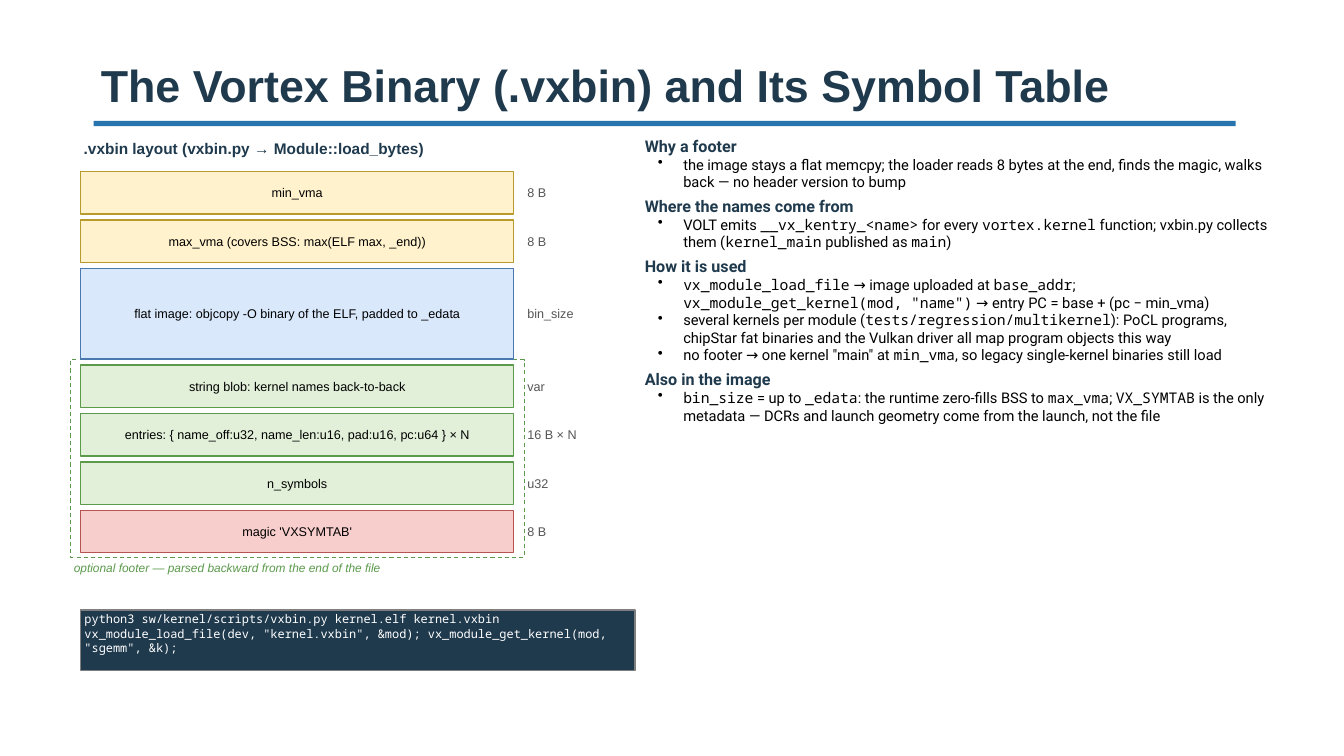
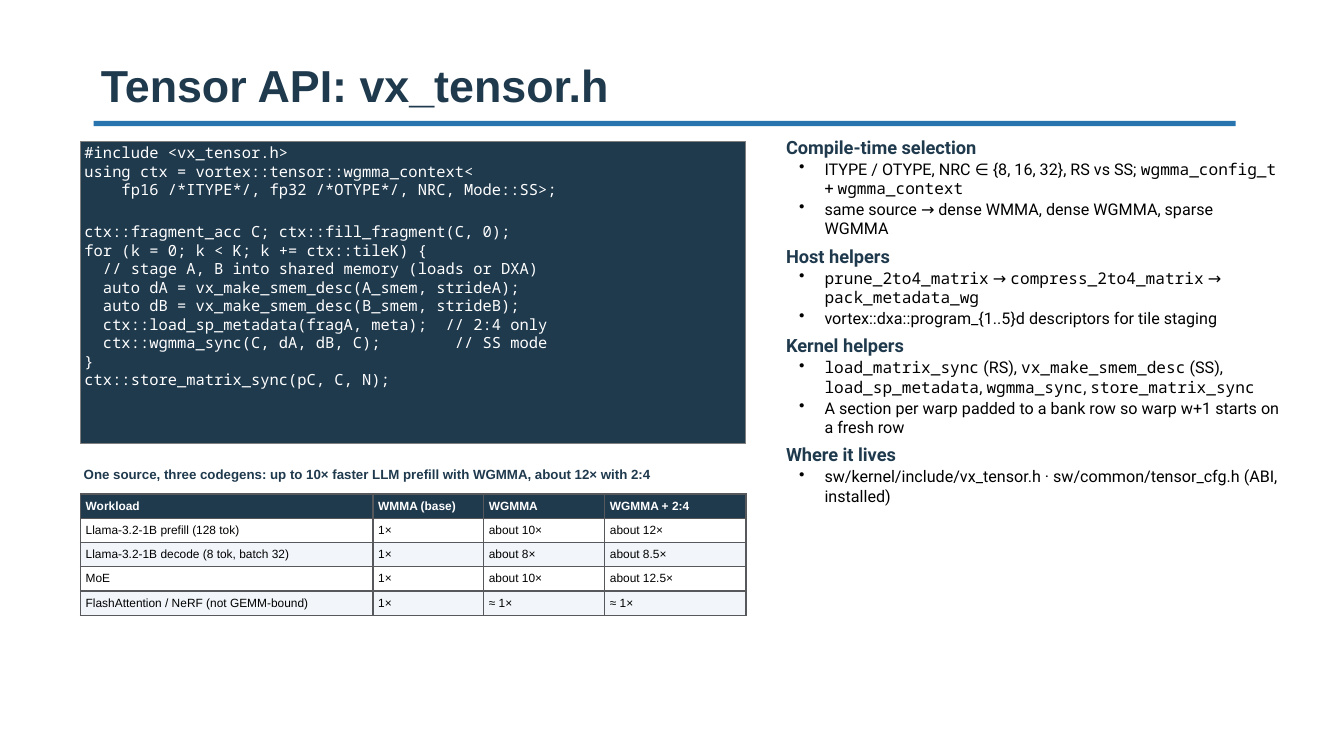
import pptx
import pptx.dml.color
import pptx.enum.dml
import pptx.enum.shapes
import pptx.enum.text
import pptx.oxml
import pptx.oxml.ns
import pptx.util

Cm = pptx.util.Cm
Pt = pptx.util.Pt
ANCHOR = pptx.enum.text.MSO_ANCHOR
ALIGN = pptx.enum.text.PP_ALIGN

NAVY = "1F394D"
BLUE = "2774AE"
GREEN = "5B9A4B"
GRAY = "555555"
BLACK = "000000"
WHITE = "FFFFFF"
BAND = "F2F6FA"
CODE_EDGE = "7F7F7F"
TABLE_EDGE = "57585B"
YELLOW_BLOCK = ("FFF2CC", "B89B2A")
BLUE_BLOCK = ("DAE8FC", "4A78B0")
GREEN_BLOCK = ("E2F0D9", GREEN)
RED_BLOCK = ("F8CECC", "B85450")

SANS = "Arial"
BODY = "Roboto"
MONO = "Noto Sans Mono"
LEFT = 2.03


def color(value):
    return pptx.dml.color.RGBColor.from_string(value)


def element(xml):
    namespace = pptx.oxml.ns.nsdecls("a")
    return pptx.oxml.parse_xml(xml.replace("/>", f" {namespace}/>", 1) if xml.endswith("/>") and xml.count("<") == 1
                               else xml.replace(">", f" {namespace}>", 1))


class Deck:
    def __init__(self):
        self.presentation = pptx.Presentation()
        self.presentation.slide_width = Cm(33.87)
        self.presentation.slide_height = Cm(19.05)
        self.slide = None

    def frame(self, shape, anchor, horizontal, vertical):
        frame = shape.text_frame
        frame.word_wrap = True
        frame.vertical_anchor = anchor
        frame.margin_left = frame.margin_right = Cm(horizontal)
        frame.margin_top = frame.margin_bottom = Cm(vertical)
        return frame

    def run(self, paragraph, text, size, font=SANS, ink=BLACK, bold=False, italic=False):
        run = paragraph.add_run()
        run.text = text
        run.font.size = Pt(size)
        run.font.name = font
        run.font.bold = bold
        run.font.italic = italic
        run.font.color.rgb = color(ink)

    def new_slide(self, title):
        self.slide = self.presentation.slides.add_slide(self.presentation.slide_layouts[5])
        self.rectangle(2.36, 3.05, 28.78, 0.13, BLUE)
        shape = self.slide.shapes.title
        shape.left, shape.top, shape.width, shape.height = Cm(2.29), Cm(0.64), Cm(28.19), Cm(2.29)
        paragraph = self.frame(shape, ANCHOR.BOTTOM, 0.25, 0.13).paragraphs[0]
        paragraph.alignment = ALIGN.LEFT
        self.run(paragraph, title, 32, ink=NAVY, bold=True)

    def rectangle(self, left, top, width, height, fill=None, line=None, weight=1, dashed=False):
        shape = self.slide.shapes.add_shape(
            pptx.enum.shapes.MSO_SHAPE.RECTANGLE, Cm(left), Cm(top), Cm(width), Cm(height))
        shape.shadow.inherit = False
        if fill:
            shape.fill.solid()
            shape.fill.fore_color.rgb = color(fill)
        else:
            shape.fill.background()
        if line:
            shape.line.color.rgb = color(line)
            shape.line.width = Pt(weight)
        else:
            shape.line.fill.background()
        if dashed:
            shape.line.dash_style = pptx.enum.dml.MSO_LINE.DASH
        return shape

    def block(self, left, top, width, height, text, colors):
        shape = self.rectangle(left, top, width, height, *colors)
        paragraph = self.frame(shape, ANCHOR.MIDDLE, 0.1, 0.05).paragraphs[0]
        paragraph.alignment = ALIGN.CENTER
        self.run(paragraph, text, 9)

    def label(self, left, top, width, height, text, size, anchor=ANCHOR.TOP, **style):
        shape = self.slide.shapes.add_textbox(Cm(left), Cm(top), Cm(width), Cm(height))
        self.run(self.frame(shape, anchor, 0.08, 0.08).paragraphs[0], text, size, **style)

    def code(self, left, top, width, height, text, size):
        shape = self.rectangle(left, top, width, height, NAVY, CODE_EDGE)
        frame = self.frame(shape, ANCHOR.TOP, 0.1, 0.05)
        paragraph = frame.paragraphs[0]
        for group_index, group in enumerate(text.split("\n\n")):
            for line_index, line in enumerate(group.split("\n")):
                if group_index or line_index:
                    paragraph = frame.add_paragraph()
                if group_index and not line_index:
                    paragraph.space_before = Pt(17)
                paragraph.alignment = ALIGN.LEFT
                self.run(paragraph, line, size, MONO, WHITE)

    def outline(self, left, width, sections, heading_size, bullet_size, heading_gap, bullet_gap):
        shape = self.slide.shapes.add_textbox(Cm(left), Cm(3.3), Cm(width), Cm(13.72))
        frame = self.frame(shape, ANCHOR.TOP, 0.25, 0.13)
        for index, (heading, bullets) in enumerate(sections):
            paragraph = frame.add_paragraph() if index else frame.paragraphs[0]
            paragraph.space_before = Pt(heading_gap if index else 0)
            self.run(paragraph, heading, heading_size, BODY, NAVY, True)
            for bullet in bullets:
                paragraph = frame.add_paragraph()
                paragraph.level = 1
                paragraph.space_before = Pt(bullet_gap)
                properties = paragraph._p.get_or_add_pPr()
                properties.set("marL", str(Cm(0.97)))
                properties.set("indent", str(-Cm(0.64)))
                properties.append(element('<a:buChar char="•"/>'))
                for part, text in enumerate(bullet.split("`")):
                    if text:
                        self.run(paragraph, text, bullet_size, MONO if part % 2 else BODY)

    def table(self, left, top, widths, row_height, rows):
        shape = self.slide.shapes.add_table(
            len(rows), len(widths), Cm(left), Cm(top), Cm(sum(widths)), Cm(row_height * len(rows)))
        table = shape.table
        table.first_row = table.horz_banding = False
        for column, width in zip(table.columns, widths):
            column.width = Cm(width)
        for row_index, values in enumerate(rows):
            table.rows[row_index].height = Cm(row_height)
            header = row_index == 0
            fill = NAVY if header else (WHITE if row_index % 2 else BAND)
            for column_index, text in enumerate(values):
                self.cell(table.cell(row_index, column_index), text, fill, header)

    def cell(self, cell, text, fill, header):
        cell.fill.solid()
        cell.fill.fore_color.rgb = color(fill)
        cell.vertical_anchor = ANCHOR.MIDDLE
        cell.margin_left = cell.margin_right = Cm(0.13)
        cell.margin_top = cell.margin_bottom = Cm(0.05)
        self.run(cell.text_frame.paragraphs[0], text, 8.5, ink=WHITE if header else BLACK, bold=header)
        properties = cell._tc.get_or_add_tcPr()
        for position, side in enumerate(("lnL", "lnR", "lnT", "lnB")):
            properties.insert(position, element(
                f'<a:{side} w="{Pt(1)}"><a:solidFill><a:srgbClr val="{TABLE_EDGE}"/></a:solidFill></a:{side}>'))


BINARY_LAYOUT = [
    ("min_vma", "8 B", 1.07, YELLOW_BLOCK),
    ("max_vma (covers BSS: max(ELF max, _end))", "8 B", 1.07, YELLOW_BLOCK),
    ("flat image: objcopy -O binary of the ELF, padded to _edata", "bin_size", 2.29, BLUE_BLOCK),
    ("string blob: kernel names back-to-back", "var", 1.07, GREEN_BLOCK),
    ("entries: { name_off:u32, name_len:u16, pad:u16, pc:u64 } × N", "16 B × N", 1.07, GREEN_BLOCK),
    ("n_symbols", "u32", 1.07, GREEN_BLOCK),
    ("magic 'VXSYMTAB'", "8 B", 1.07, RED_BLOCK),
]

BINARY_NOTES = [
    ("Why a footer", [
        "the image stays a flat memcpy; the loader reads 8 bytes at the end, finds the magic, "
        "walks back — no header version to bump"]),
    ("Where the names come from", [
        "VOLT emits `__vx_kentry_<name>` for every `vortex.kernel` function; vxbin.py collects them "
        "(`kernel_main` published as `main`)"]),
    ("How it is used", [
        "`vx_module_load_file` → image uploaded at `base_addr`; "
        "`vx_module_get_kernel(mod, \"name\")` → entry PC = base + (pc − min_vma)",
        "several kernels per module (`tests/regression/multikernel`): PoCL programs, chipStar fat binaries "
        "and the Vulkan driver all map program objects this way",
        "no footer → one kernel \"main\" at `min_vma`, so legacy single-kernel binaries still load"]),
    ("Also in the image", [
        "`bin_size` = up to `_edata`: the runtime zero-fills BSS to `max_vma`; `VX_SYMTAB` is the only "
        "metadata — DCRs and launch geometry come from the launch, not the file"]),
]

BINARY_CODE = """python3 sw/kernel/scripts/vxbin.py kernel.elf kernel.vxbin
vx_module_load_file(dev, "kernel.vxbin", &mod); vx_module_get_kernel(mod, "sgemm", &k);"""

TENSOR_NOTES = [
    ("Compile-time selection", [
        "ITYPE / OTYPE, NRC ∈ {8, 16, 32}, RS vs SS; `wgmma_config_t` + `wgmma_context`",
        "same source → dense WMMA, dense WGMMA, sparse WGMMA"]),
    ("Host helpers", [
        "`prune_2to4_matrix` → `compress_2to4_matrix` → `pack_metadata_wg`",
        "vortex::dxa::program_{1..5}d descriptors for tile staging"]),
    ("Kernel helpers", [
        "`load_matrix_sync` (RS), `vx_make_smem_desc` (SS), `load_sp_metadata`, `wgmma_sync`, "
        "`store_matrix_sync`",
        "A section per warp padded to a bank row so warp w+1 starts on a fresh row"]),
    ("Where it lives", [
        "sw/kernel/include/vx_tensor.h · sw/common/tensor_cfg.h (ABI, installed)"]),
]

TENSOR_CODE = """#include <vx_tensor.h>
using ctx = vortex::tensor::wgmma_context<
    fp16 /*ITYPE*/, fp32 /*OTYPE*/, NRC, Mode::SS>;

ctx::fragment_acc C; ctx::fill_fragment(C, 0);
for (k = 0; k < K; k += ctx::tileK) {
  // stage A, B into shared memory (loads or DXA)
  auto dA = vx_make_smem_desc(A_smem, strideA);
  auto dB = vx_make_smem_desc(B_smem, strideB);
  ctx::load_sp_metadata(fragA, meta);  // 2:4 only
  ctx::wgmma_sync(C, dA, dB, C);        // SS mode
}
ctx::store_matrix_sync(pC, C, N);"""

SPEEDUPS = [
    ("Workload", "WMMA (base)", "WGMMA", "WGMMA + 2:4"),
    ("Llama-3.2-1B prefill (128 tok)", "1×", "about 10×", "about 12×"),
    ("Llama-3.2-1B decode (8 tok, batch 32)", "1×", "about 8×", "about 8.5×"),
    ("MoE", "1×", "about 10×", "about 12.5×"),
    ("FlashAttention / NeRF (not GEMM-bound)", "1×", "≈ 1×", "≈ 1×"),
]


def binary_slide(deck):
    deck.new_slide("The Vortex Binary (.vxbin) and Its Symbol Table")
    deck.outline(16, 16.51, BINARY_NOTES, 11.5, 10.5, 4, 0)
    deck.label(LEFT, 3.43, 14.22, 0.76, ".vxbin layout (vxbin.py → Module::load_bytes)", 11, ink=NAVY, bold=True)
    deck.rectangle(1.78, 9.07, 11.43, 4.98, line=GREEN, weight=0.75, dashed=True)
    deck.label(1.78, 14.05, 11.68, 0.64, "optional footer — parsed backward from the end of the file", 8.5,
               ink=GREEN, italic=True)
    top = 4.32
    for text, extent, height, colors in BINARY_LAYOUT:
        deck.block(LEFT, top, 10.92, height, text, colors)
        deck.label(13.21, top, 3.05, height, extent, 9, ANCHOR.MIDDLE, ink=GRAY)
        top += height + 0.15
    deck.code(LEFT, 15.37, 13.97, 1.52, BINARY_CODE, 8.5)


def tensor_slide(deck):
    deck.new_slide("Tensor API: vx_tensor.h")
    deck.outline(19.56, 12.95, TENSOR_NOTES, 13, 11.5, 5, 1)
    deck.code(LEFT, 3.56, 16.76, 7.62, TENSOR_CODE, 11)
    deck.label(LEFT, 11.68, 16.76, 0.76,
               "One source, three codegens: up to 10× faster LLM prefill with WGMMA, about 12× with 2:4", 9.5,
               ink=NAVY, bold=True)
    deck.table(LEFT, 12.45, (7.37, 2.79, 3.05, 3.56), 0.61, SPEEDUPS)


def main():
    deck = Deck()
    binary_slide(deck)
    tensor_slide(deck)
    deck.presentation.save("out.pptx")


if __name__ == "__main__":
    main()
